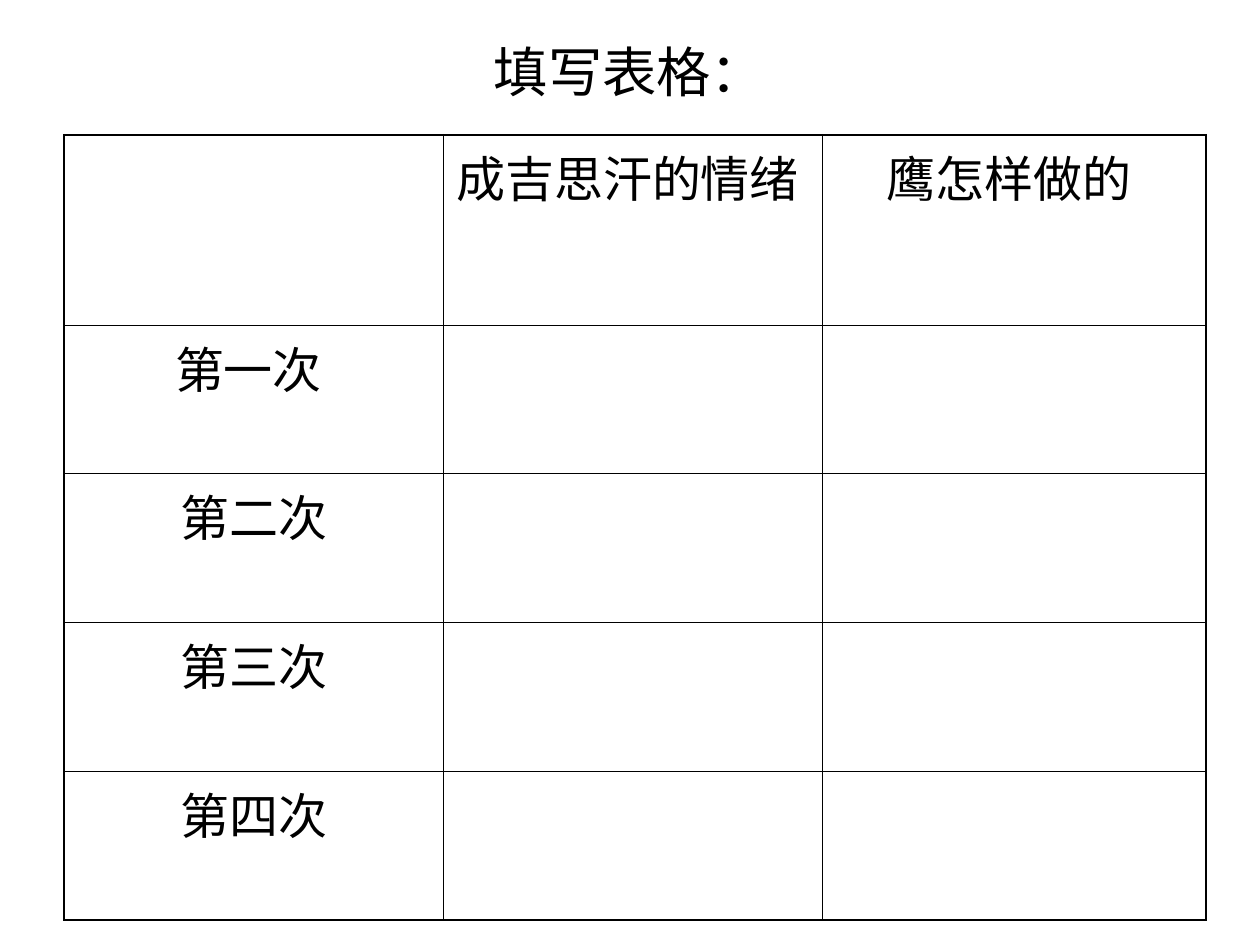
import pptx
import pptx.util
import pptx.dml.color
import pptx.enum.text
import pptx.oxml
import pptx.oxml.ns

Inches = pptx.util.Inches
Pt = pptx.util.Pt
BLACK = pptx.dml.color.RGBColor(0x00, 0x00, 0x00)
THICK = Pt(1.08)
THIN = Pt(0.45)
COLUMN_WIDTHS = [3.01, 3.01, 3.04]
ROW_HEIGHTS = [1.51, 1.18, 1.18, 1.18, 1.18]
ROWS = [
    ["", "成吉思汗的情绪 ", "鹰怎样做的 "],
    ["第一次 ", "", ""],
    ["第二次", "", ""],
    ["第三次", "", ""],
    ["第四次", "", ""],
]


def write_centered(frame, text, size):
    frame.text = text
    paragraph = frame.paragraphs[0]
    paragraph.alignment = pptx.enum.text.PP_ALIGN.CENTER
    for run in paragraph.runs:
        run.font.size = Pt(size)
        run.font.name = "Arial"
        run.font.color.rgb = BLACK


def add_border(cell, position, side, width):
    line = pptx.oxml.parse_xml(
        f'<a:{side} {pptx.oxml.ns.nsdecls("a")} w="{int(width)}">'
        f'<a:solidFill><a:srgbClr val="{BLACK}"/></a:solidFill></a:{side}>'
    )
    cell._tc.get_or_add_tcPr().insert(position, line)


presentation = pptx.Presentation()
presentation.slide_width = Inches(10)
presentation.slide_height = Inches(7.5)
slide = presentation.slides.add_slide(presentation.slide_layouts[6])

title = slide.shapes.add_textbox(Inches(0.35), Inches(0.21), Inches(9.29), Inches(0.71))
title.text_frame.word_wrap = True
title.text_frame.vertical_anchor = pptx.enum.text.MSO_ANCHOR.MIDDLE
write_centered(title.text_frame, "填写表格：", 31)

emotions = slide.shapes.add_table(
    len(ROW_HEIGHTS), len(COLUMN_WIDTHS), Inches(0.51), Inches(1.07),
    Inches(sum(COLUMN_WIDTHS)), Inches(sum(ROW_HEIGHTS)),
).table
emotions.first_row = False
emotions.horz_banding = False
for column, width in zip(emotions.columns, COLUMN_WIDTHS):
    column.width = Inches(width)
for row, height in zip(emotions.rows, ROW_HEIGHTS):
    row.height = Inches(height)

last_row = len(ROW_HEIGHTS) - 1
last_column = len(COLUMN_WIDTHS) - 1
for r, labels in enumerate(ROWS):
    for c, label in enumerate(labels):
        cell = emotions.cell(r, c)
        cell.fill.background()
        if label:
            write_centered(cell.text_frame, label, 28)
        outer_sides = {"lnL": c == 0, "lnR": c == last_column, "lnT": r == 0, "lnB": r == last_row}
        for position, (side, is_outer) in enumerate(outer_sides.items()):
            add_border(cell, position, side, THICK if is_outer else THIN)

presentation.save("out.pptx")
